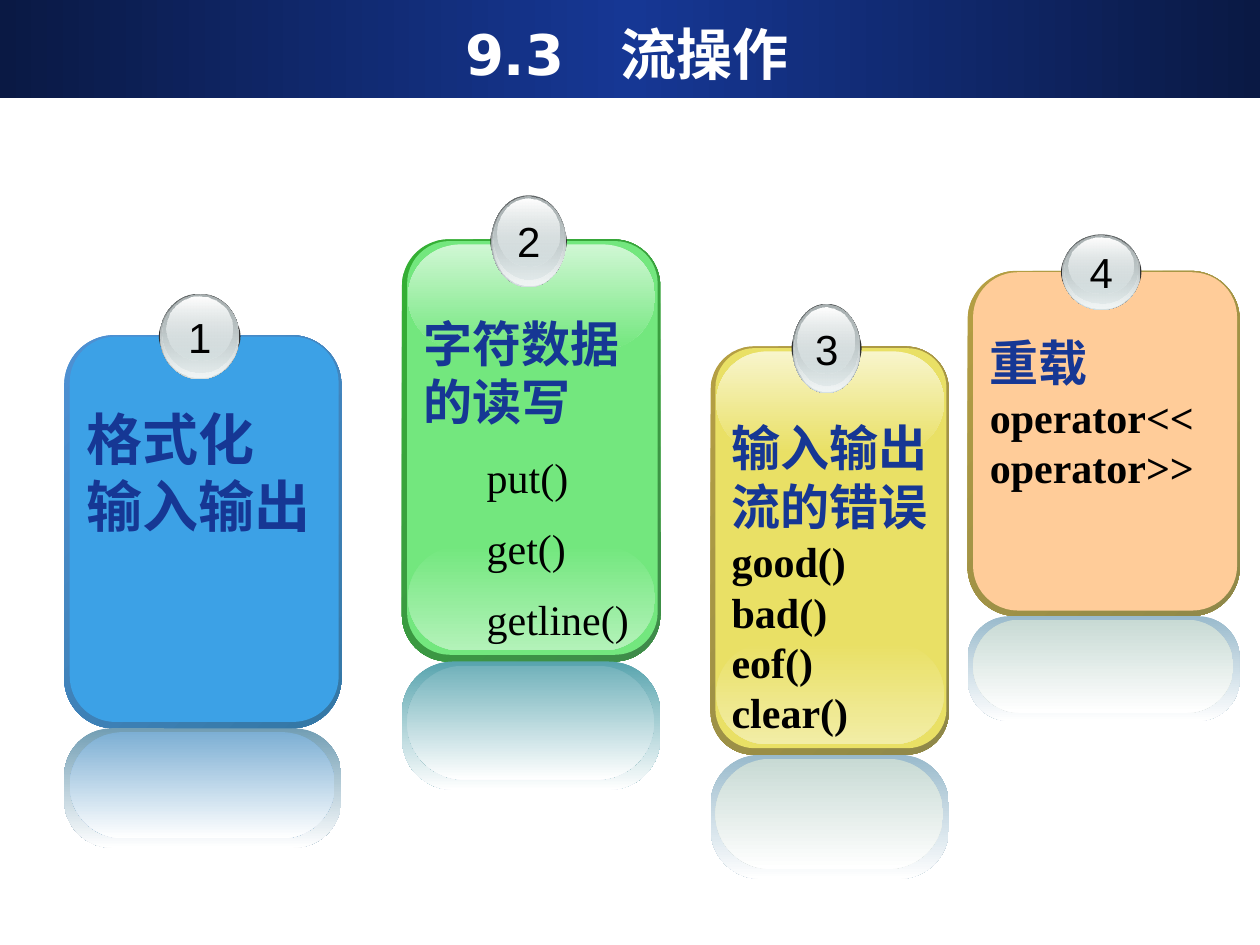
from dataclasses import dataclass
from typing import NamedTuple

from lxml.etree import SubElement
from pptx import Presentation
from pptx.dml.color import RGBColor as RGB
from pptx.enum.shapes import MSO_SHAPE as Shape
from pptx.enum.text import MSO_ANCHOR as Anchor, MSO_AUTO_SIZE as AutoSize, PP_ALIGN as Align
from pptx.oxml.ns import qn
from pptx.util import Emu, Inches, Pt

# Slide grid: 100 columns by 75 rows
COLS, ROWS = 100, 75
WIDTH, HEIGHT = Inches(10), Inches(7.5)

NAVY, ROYAL = RGB(0x0A, 0x19, 0x44), RGB(0x16, 0x37, 0x94)
WHITE, BLACK, SHADE = RGB(255, 255, 255), RGB(0, 0, 0), RGB(0x33, 0x33, 0x33)
STEEL, SILVER = RGB(0x63, 0x68, 0x69), RGB(0xD6, 0xE1, 0xE2)
PEARL, ASH = RGB(0xF1, 0xF5, 0xF5), RGB(0xAA, 0xB2, 0xB3)
BLUE, BLUE_TOP, BLUE_LOW = RGB(0x3C, 0xA1, 0xE6), RGB(0xBE, 0xE0, 0xF7), RGB(0x9B, 0xCF, 0xF2)
BLUE_EDGE = (RGB(0x4E, 0x91, 0xD4), RGB(0x34, 0x77, 0xA4))
BLUE_MIRROR = (RGB(0x72, 0x9E, 0xB4), RGB(0x7D, 0xAF, 0xD4))
GREEN, GREEN_TOP, GREEN_LOW = RGB(0x73, 0xE7, 0x7E), RGB(0xD0, 0xF7, 0xD4), RGB(0xB3, 0xF2, 0xB9)
GREEN_EDGE = (RGB(0x34, 0xB0, 0x34), RGB(0x3F, 0x8B, 0x4A))
GREEN_MIRROR = (RGB(0x58, 0xA4, 0xAE), RGB(0x72, 0xB2, 0xBB))
YELLOW, YELLOW_TOP, YELLOW_LOW = RGB(0xE9, 0xE0, 0x65), RGB(0xF8, 0xF5, 0xCC), RGB(0xF2, 0xED, 0xA6)
OLIVE_EDGE = (RGB(0xB5, 0x9F, 0x43), RGB(0x8F, 0x88, 0x49))
PALE_MIRROR = (RGB(0x99, 0xBA, 0xCC), RGB(0xC8, 0xDA, 0xD4))
PEACH = RGB(0xFF, 0xCC, 0x99)


class Box(NamedTuple):
    """A rectangle in grid columns and rows."""
    x: float
    y: float
    w: float
    h: float

    def share(self, x: float, y: float, w: float, h: float) -> "Box":
        """A rectangle given as shares of this one."""
        return Box(self.x + x * self.w, self.y + y * self.h, w * self.w, h * self.h)

    def centred(self, w: float, h: float) -> "Box":
        return Box(self.x + (self.w - w) / 2, self.y + (self.h - h) / 2, w, h)

    def emu(self) -> list:
        col, row = WIDTH / COLS, HEIGHT / ROWS
        return [Emu(round(v)) for v in (self.x * col, self.y * row, self.w * col, self.h * row)]


class Stop(NamedTuple):
    """A gradient colour with its opacity in percent."""
    color: RGB
    alpha: int = 100


class Para(NamedTuple):
    text: str
    size: int
    font: str
    color: RGB
    bold: bool = True
    indented: bool = False


@dataclass
class Card:
    number: str
    box: Box
    badge: Box
    face: RGB
    edge: tuple
    gloss: tuple      # upper and lower tint
    mirror: tuple     # outer and inner reflection
    paras: list
    text_rows: float
    gloss_on_top: bool = True


def set_gradient(sp, stops: list, angle: int) -> None:
    """Fill with evenly spaced stops along a line at the angle."""
    sp.fill.background()
    old = sp._element.spPr.find(qn("a:noFill"))
    grad = old.makeelement(qn("a:gradFill"), {"rotWithShape": "1"})
    old.getparent().replace(old, grad)
    gs_list = SubElement(grad, qn("a:gsLst"))
    for i, stop in enumerate(stops):
        gs = SubElement(gs_list, qn("a:gs"), pos=str(100000 * i // (len(stops) - 1)))
        clr = SubElement(gs, qn("a:srgbClr"), val=str(stop.color))
        if stop.alpha < 100:
            SubElement(clr, qn("a:alpha"), val=str(stop.alpha * 1000))
    SubElement(grad, qn("a:lin"), ang=str(angle * 60000), scaled="0")


def add_shape(shapes, kind, box: Box, *colors, angle: int = 90, corner: float = 0.5) -> None:
    """One colour gives a solid fill, more give a gradient."""
    sp = shapes.add_shape(kind, *box.emu())
    sp.shadow.inherit = False
    sp.line.fill.background()
    if kind == Shape.ROUNDED_RECTANGLE:
        sp.adjustments[0] = corner
    if len(set(colors)) == 1:
        sp.fill.solid()
        sp.fill.fore_color.rgb = colors[0]
    else:
        set_gradient(sp, [c if isinstance(c, Stop) else Stop(c) for c in colors], angle)


def add_text(shapes, box: Box, paras: list, *, align=None, anchor=Anchor.TOP,
             wrap: bool = True, grow: bool = True) -> None:
    tf = shapes.add_textbox(*box.emu()).text_frame
    tf.word_wrap = wrap
    tf.auto_size = AutoSize.SHAPE_TO_FIT_TEXT if grow else AutoSize.NONE
    tf.vertical_anchor = anchor
    for i, para in enumerate(paras):
        p = tf.add_paragraph() if i else tf.paragraphs[0]
        p.alignment = align
        if para.indented:
            p.level, p.line_spacing, p.space_before = 1, 1.2, Pt(6)
            pPr = p._p.get_or_add_pPr()
            pPr.set("marL", str(Inches(0.81)))
            pPr.set("indent", str(Inches(-0.31)))
        r = p.add_run()
        r.text = para.text
        r.font.size, r.font.name, r.font.bold = Pt(para.size), para.font, para.bold
        r.font.color.rgb = para.color


def add_badge(shapes, box: Box, number: str) -> None:
    oval = Shape.OVAL
    add_shape(shapes, oval, box.centred(box.w * 1.03, 5.3), SHADE)
    add_shape(shapes, oval, box, STEEL, SILVER)
    add_shape(shapes, oval, box.share(0.01, 0.01, 0.98, 0.97), Stop(SILVER, 0), PEARL)
    add_shape(shapes, oval, box.share(0.03, 0.01, 0.94, 0.91), ASH, Stop(SILVER, 48))
    add_shape(shapes, oval, box.share(0.08, 0.04, 0.83, 0.74), WHITE, Stop(SILVER, 38))
    add_text(shapes, box.centred(3.8, 5), [Para(number, 24, "Arial", BLACK, False)],
             align=Align.CENTER, wrap=False)


def add_card(shapes, card: Card) -> None:
    box, rounded = card.box, Shape.ROUNDED_RECTANGLE
    upper, lower = card.gloss

    def add_face() -> None:
        add_shape(shapes, rounded, box.share(0.02, 0.004, 0.97, 0.98), card.face, corner=0.17)

    # Body with its gloss
    add_shape(shapes, rounded, box, *card.edge, angle=45, corner=0.18)
    if card.gloss_on_top:
        add_face()
    add_shape(shapes, rounded, box.share(0.024, 0.726, 0.956, 0.248), card.face, lower)
    add_shape(shapes, rounded, box.share(0.024, 0.012, 0.956, 0.248), upper, card.face)
    if not card.gloss_on_top:
        add_face()
    # Reflection below
    add_shape(shapes, rounded, box.share(0, 1, 1, 0.304), card.mirror[0], WHITE, corner=0.4)
    add_shape(shapes, rounded, box.share(0.02, 1.01, 0.956, 0.27), card.mirror[1], WHITE)
    # Badge and wording
    add_badge(shapes, card.badge, card.number)
    area = box.share(0.036, 0.16, 0.95, 1)
    add_text(shapes, area._replace(h=card.text_rows), card.paras)


def heading(text: str, size: int = 28) -> Para:
    return Para(text, size, "Arial", ROYAL)


def calls(*names: str, **style) -> list:
    return [Para(name, 24, "Times New Roman", BLACK, **style) for name in names]


CARDS = [
    Card("1", Box(5.1, 26.6, 22, 31.2), Box(12.7, 23.3, 6.3, 6.8), BLUE, BLUE_EDGE,
         (BLUE_TOP, BLUE_LOW), BLUE_MIRROR,
         [heading("格式化", 32), heading("输入输出", 32)], 11.7, gloss_on_top=False),
    Card("2", Box(31.9, 19, 20.5, 33.5), Box(39, 15.5, 5.9, 7.3), GREEN, GREEN_EDGE,
         (GREEN_TOP, GREEN_LOW), GREEN_MIRROR,
         [heading("字符数据的读写"),
          *calls("put()", "get()", "getline()", bold=False, indented=True)], 31.3),
    Card("3", Box(56.4, 27.5, 18.9, 32.4), Box(62.9, 24.1, 5.4, 7.1), YELLOW, OLIVE_EDGE,
         (YELLOW_TOP, YELLOW_LOW), PALE_MIRROR,
         [heading("输入输出流的错误"), *calls("good()", "bad()", "eof()", "clear()")], 26.4),
    Card("4", Box(76.8, 21.5, 21.6, 27.4), Box(84.3, 18.6, 6.2, 6), PEACH, OLIVE_EDGE,
         (PEACH, PEACH), PALE_MIRROR,
         [heading("重载"), *calls("operator<<", "operator>>")], 13.7),
]


def main() -> None:
    prs = Presentation()
    prs.slide_width, prs.slide_height = WIDTH, HEIGHT
    s = prs.slides.add_slide(prs.slide_layouts[6])
    # Title band
    add_shape(s.shapes, Shape.RECTANGLE, Box(0, 0, COLS, 7.8), NAVY, ROYAL, NAVY, angle=0)
    add_text(s.shapes, Box(3.5, 1.1, 92.5, 6.2), [Para("9.3　流操作", 32, "DejaVu Sans", WHITE)],
             align=Align.CENTER, anchor=Anchor.MIDDLE, grow=False)
    # Numbered cards
    for card in CARDS:
        add_card(s.shapes.add_group_shape().shapes, card)
    prs.save("out.pptx")


if __name__ == "__main__":
    main()
